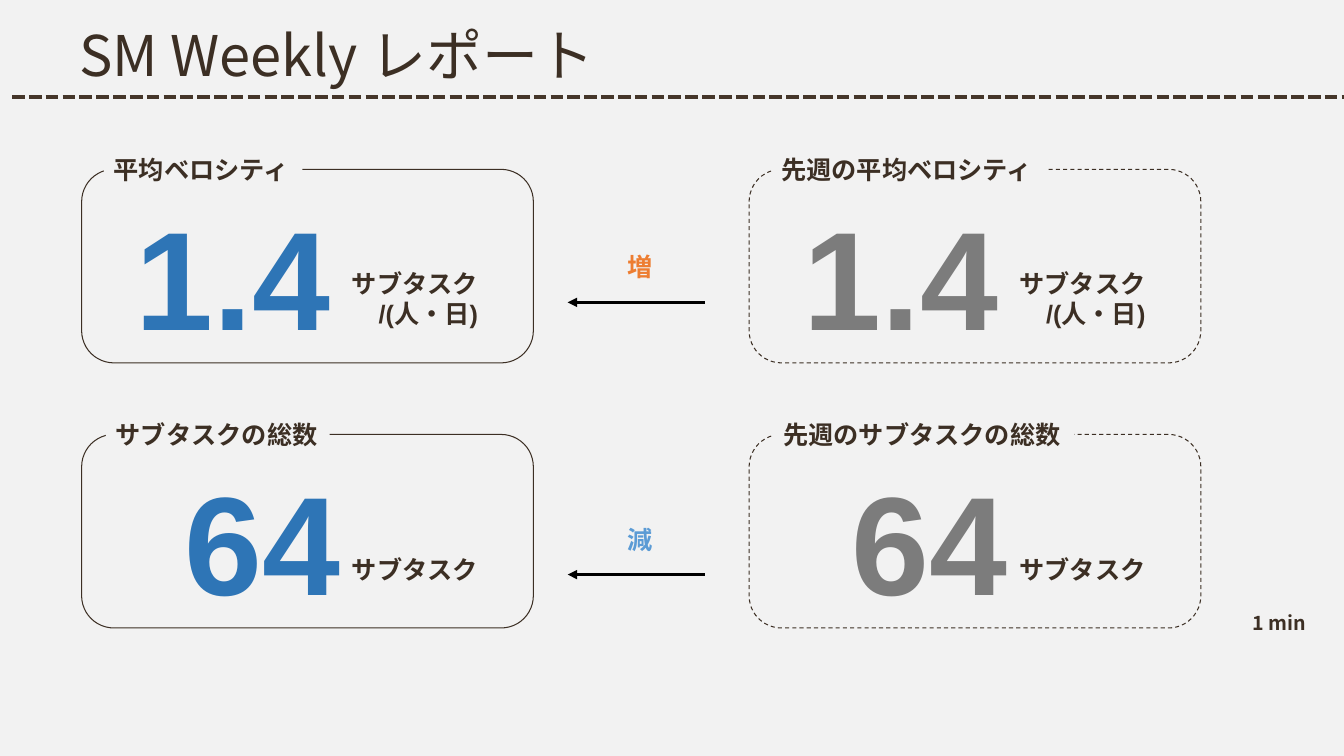
from lxml import etree
from pptx import Presentation
from pptx import util as u
from pptx.dml.color import RGBColor
from pptx.enum import dml, shapes, text
from pptx.oxml.ns import qn

PAPER = RGBColor(0xF2, 0xF2, 0xF2)
INK = RGBColor(0x3C, 0x2F, 0x24)
RULE = RGBColor(0x45, 0x36, 0x2A)
BLUE = RGBColor(0x2E, 0x75, 0xB6)
GREY = RGBColor(0x7C, 0x7C, 0x7C)
BLACK = RGBColor(0, 0, 0)
RISE = RGBColor(0xED, 0x7D, 0x31)
FALL = RGBColor(0x5B, 0x9B, 0xD5)
SANS = "Noto Sans CJK JP"
LATIN = "Arial"
LEFT = text.PP_ALIGN.LEFT
MID = text.PP_ALIGN.CENTER
RIGHT = text.PP_ALIGN.RIGHT
GROW = text.MSO_AUTO_SIZE.SHAPE_TO_FIT_TEXT
SHRINK = text.MSO_AUTO_SIZE.TEXT_TO_FIT_SHAPE


class Report:
    """Draws the parts of the weekly report on one slide."""

    def __init__(self, slide):
        self.slide = slide
        fill = slide.background.fill
        fill.solid()
        fill.fore_color.rgb = PAPER

    def words(self, box, lines, size=18, color=INK, font=LATIN, bold=True,
              align=LEFT, wrap=False, fit=GROW, space=None, fill=None):
        shape = self.slide.shapes.add_textbox(*map(u.Inches, box))
        if fill is not None:
            shape.fill.solid()
            shape.fill.fore_color.rgb = fill
        frame = shape.text_frame
        frame.text = lines
        frame.word_wrap = wrap
        frame.auto_size = fit
        for para in frame.paragraphs:
            para.alignment = align
            para.line_spacing = space
            for run in para.runs:
                run.font.name = font
                run.font.size = u.Pt(size)
                run.font.bold = bold
                run.font.color.rgb = color
                east = etree.Element(qn("a:ea"), typeface=SANS)
                run.font._element.find(qn("a:latin")).addnext(east)

    def line(self, start, end, color, width, dash=None, arrow=False):
        line = self.slide.shapes.add_connector(
            shapes.MSO_CONNECTOR.STRAIGHT, *map(u.Inches, start + end))
        line.line.color.rgb = color
        line.line.width = u.Pt(width)
        if dash:
            line.line.dash_style = dash
        props = line._element.spPr
        if arrow:
            etree.SubElement(props.find(qn("a:ln")), qn("a:tailEnd"), type="triangle")
        etree.SubElement(props, qn("a:effectLst"))

    def frame(self, box, dash=None):
        shape = self.slide.shapes.add_shape(
            shapes.MSO_SHAPE.ROUNDED_RECTANGLE, *map(u.Inches, box))
        shape.shadow.inherit = False
        shape.fill.background()
        shape.line.color.rgb = INK
        shape.line.width = u.Pt(0.75)
        if dash:
            shape.line.dash_style = dash

    def panel(self, x, y, label, wide, value, unit, drop, inset, align, wrap, color, dash):
        self.words((x + 0.44, y + 0.16, 2.22, 1.78), value, 100, color,
                   align=align, wrap=wrap)
        tall = 0.4 + 0.31 * unit.count("\n")
        self.words((x + 2.57, y + drop, 1.46, tall), unit, align=RIGHT)
        self.frame((x, y, 4.48, 1.92), dash)
        self.words((x + inset, y - 0.2, wide, 0.4), label, fill=PAPER)


def main():
    deck = Presentation()
    deck.slide_width, deck.slide_height = u.Inches(13.33), u.Inches(7.5)
    page = Report(deck.slides.add_slide(deck.slide_layouts[6]))

    page.words((0.69, 0.23, 12.06, 0.97), "SM Weekly レポート", 40, font=SANS,
               bold=False, wrap=True, fit=SHRINK, space=0.9)
    page.line((0.12, 0.96), (13.33, 0.96), RULE, 3, dml.MSO_LINE.SQUARE_DOT)
    page.words((12.26, 6.01, 0.85, 0.34), "1 min", 14, font=SANS, align=MID, wrap=True)

    rows = [
        (1.68, "平均ベロシティ", 1.97, 2.73, "1.4", "サブタスク\n/(人・日)", 0.93, 0.22, LEFT, False),
        (4.31, "サブタスクの総数", 2.22, 2.98, "64", "サブタスク", 1.14, 0.24, RIGHT, True),
    ]
    for y, label, now, last, *rest in rows:
        page.panel(0.81, y, label, now, *rest, BLUE, None)
        page.panel(7.43, y, "先週の" + label, last, *rest, GREY, dml.MSO_LINE.DASH)

    for y, top, sign, color in [(3, 2.44, "増", RISE), (5.7, 5.15, "減", FALL)]:
        page.line((6.99, y), (5.63, y), BLACK, 2.25, arrow=True)
        page.words((6.13, top, 0.45, 0.4), sign, color=color, font=SANS)

    deck.save("out.pptx")


if __name__ == "__main__":
    main()
